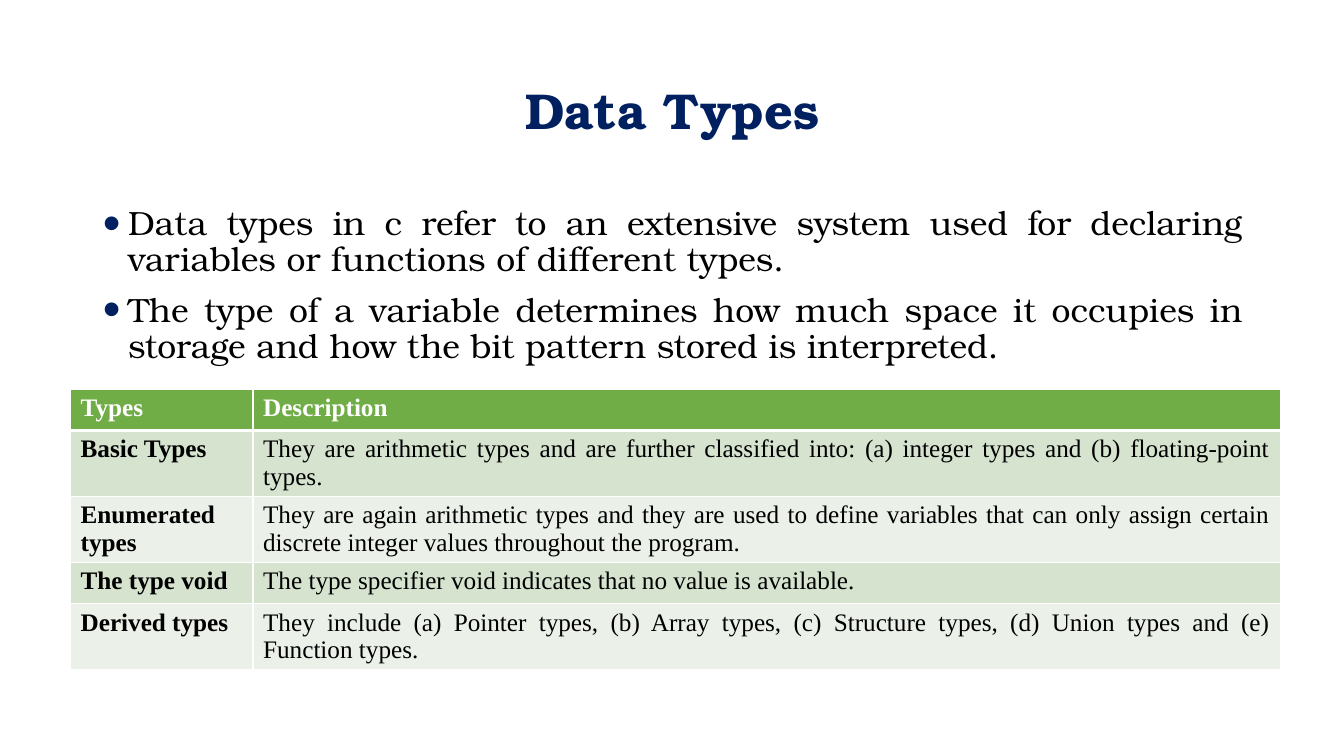
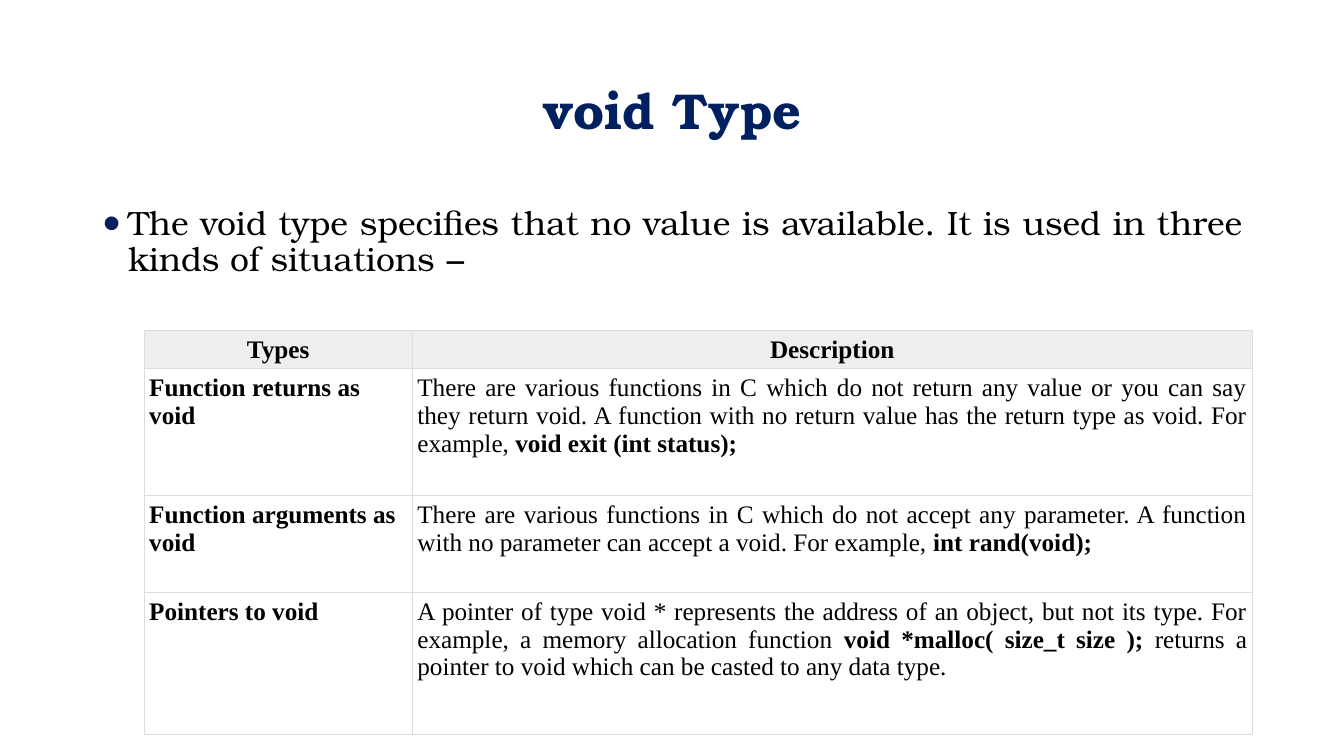
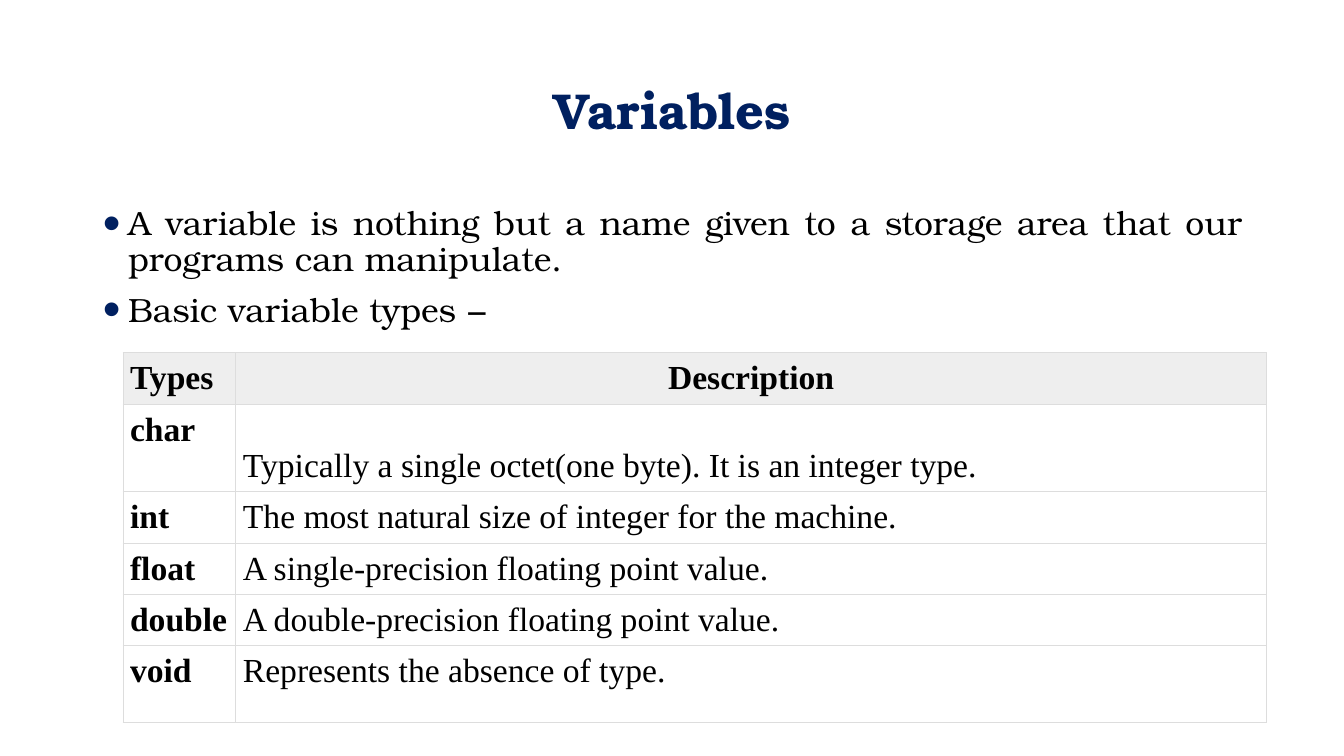
from lxml.etree import SubElement
from pptx import Presentation
from pptx.dml.color import RGBColor
from pptx.enum.text import MSO_ANCHOR as ANCHOR, MSO_AUTO_SIZE as AUTO_SIZE, PP_ALIGN as ALIGN
from pptx.oxml.ns import qn
from pptx.util import Pt

EMU_PER_PX = 9144
NAVY, BLACK, WHITE = "002060", "000000", "FFFFFF"
HEADING_FONT, TABLE_FONT = "TeX Gyre Bonum", "Times New Roman"
TITLE_BOX = (92, 40, 1150, 145)
BODY_BOX = (92, 200, 1150, 535)

GREEN_STYLE = {
    "header_fill": "70AD47", "header_color": WHITE, "row_fills": ("D5E3CF", "EBF1E9"),
    "border": (WHITE, 1), "header_rule": (WHITE, 3), "margins": (10, 5),
}
GREY_STYLE = {
    "header_fill": "EEEEEE", "header_color": BLACK, "row_fills": (None,),
    "border": ("DDDDDD", 0.75), "header_rule": ("DDDDDD", 0.75), "margins": (5, 5),
}

SLIDES = [
    {
        "title": "Data Types",
        "bullets": [
            "Data types in c refer to an extensive system used for declaring variables or functions of different types.",
            "The type of a variable determines how much space it occupies in storage and how the bit pattern stored is interpreted.",
        ],
        "table": {
            "origin": (70, 386), "columns": (181, 1019), "heights": (41, 65, 65, 41, 65),
            "size": 18, "style": GREEN_STYLE, "header_align": (ALIGN.LEFT, ALIGN.LEFT),
            "rows": [
                ("Types", "Description"),
                ("Basic Types", "They are arithmetic types and are further classified into: (a) integer types and (b) floating-point types."),
                ("Enumerated types", "They are again arithmetic types and they are used to define variables that can only assign certain discrete integer values throughout the program."),
                ("The type void", "The type specifier void indicates that no value is available."),
                ("Derived types", "They include (a) Pointer types, (b) Array types, (c) Structure types, (d) Union types and (e) Function types."),
            ],
        },
    },
    {
        "title": "void Type",
        "bullets": [
            "The void type specifies that no value is available. It is used in three kinds of situations −",
        ],
        "table": {
            "origin": (143, 328), "columns": (266, 833), "heights": (38, 126, 96, 141),
            "size": 18, "style": GREY_STYLE, "header_align": (ALIGN.CENTER, ALIGN.CENTER),
            "rows": [
                ("Types", "Description"),
                ("Function returns as void", "There are various functions in C which do not return any value or you can say they return void. A function with no return value has the return type as void. For example, |void exit (int status);"),
                ("Function arguments as void", "There are various functions in C which do not accept any parameter. A function with no parameter can accept a void. For example, |int rand(void);"),
                ("Pointers to void", "A pointer of type void * represents the address of an object, but not its type. For example, a memory allocation function |void *malloc( size_t size );| returns a pointer to void which can be casted to any data type."),
            ],
        },
    },
    {
        "title": "Variables",
        "bullets": [
            "A variable is nothing but a name given to a storage area that our programs can manipulate.",
            "Basic variable types −",
        ],
        "table": {
            "origin": (122, 350), "columns": (112, 1022), "heights": (51, 87, 51, 50, 51, 76),
            "size": 24, "style": {**GREY_STYLE, "margins": (7, 7)},
            "header_align": (ALIGN.LEFT, ALIGN.CENTER), "bottom_cell": (1, 1),
            "rows": [
                ("Types", "Description"),
                ("char", "Typically a single octet(one byte). It is an integer type."),
                ("int", "The most natural size of integer for the machine."),
                ("float", "A single-precision floating point value."),
                ("double", "A double-precision floating point value."),
                ("void", "Represents the absence of type."),
            ],
        },
    },
]


def px(length):
    return length * EMU_PER_PX


def rgb(value):
    return RGBColor.from_string(value)


def set_format(target, values):
    for name, value in values.items():
        setattr(target, name, value)


def write_runs(paragraph, text, font_name, size, color, bold=False):
    for index, part in enumerate(text.split("|")):
        run = paragraph.add_run()
        run.text = part
        set_format(run.font, {"name": font_name, "size": Pt(size), "bold": bold != bool(index % 2)})
        run.font.color.rgb = rgb(color)


def place(shape, box, anchor):
    set_format(shape, dict(zip(("left", "top", "width", "height"), map(px, box))))
    set_format(shape.text_frame, {
        "word_wrap": True, "auto_size": AUTO_SIZE.NONE, "vertical_anchor": anchor,
    })


def add_bullet(paragraph):
    properties = paragraph._p.get_or_add_pPr()
    properties.set("marL", str(px(25)))
    properties.set("indent", str(-px(25)))
    color = SubElement(properties, qn("a:buClr"))
    SubElement(color, qn("a:srgbClr"), val=NAVY)
    SubElement(properties, qn("a:buSzPct"), val="150000")
    SubElement(properties, qn("a:buFont"), typeface="Arial")
    SubElement(properties, qn("a:buChar"), char="•")


def fill_title(shape, box, text):
    place(shape, box, ANCHOR.MIDDLE)
    paragraph = shape.text_frame.paragraphs[0]
    set_format(paragraph, {"alignment": ALIGN.CENTER, "line_spacing": 0.9})
    write_runs(paragraph, text, HEADING_FONT, 36, NAVY, True)


def fill_bullets(shape, box, bullets):
    place(shape, box, ANCHOR.TOP)
    frame = shape.text_frame
    for index, text in enumerate(bullets):
        paragraph = frame.add_paragraph() if index else frame.paragraphs[0]
        add_bullet(paragraph)
        set_format(paragraph, {
            "alignment": ALIGN.JUSTIFY, "line_spacing": 0.9, "space_before": Pt(10 if index else 0),
        })
        write_runs(paragraph, text, HEADING_FONT, 24, BLACK)


def set_borders(cell, borders):
    properties = cell._tc.get_or_add_tcPr()
    for index, (side, (color, width)) in enumerate(borders.items()):
        line = SubElement(properties, qn("a:ln" + side), w=str(Pt(width)))
        fill = SubElement(line, qn("a:solidFill"))
        SubElement(fill, qn("a:srgbClr"), val=color)
        properties.insert(index, line)


def fill_cell(cell, text, row, column, layout):
    style = layout["style"]
    header = row == 0
    horizontal, vertical = map(px, style["margins"])
    bottom = layout.get("bottom_cell") == (row, column)
    set_format(cell, {
        "margin_left": horizontal, "margin_right": horizontal,
        "margin_top": vertical, "margin_bottom": vertical,
        "vertical_anchor": ANCHOR.BOTTOM if bottom else ANCHOR.TOP,
    })
    row_fills = style["row_fills"]
    fill_color = style["header_fill"] if header else row_fills[(row - 1) % len(row_fills)]
    if fill_color:
        cell.fill.solid()
        cell.fill.fore_color.rgb = rgb(fill_color)
    else:
        cell.fill.background()
    borders = dict.fromkeys("LRTB", style["border"])
    if row < 2:
        borders["B" if header else "T"] = style["header_rule"]
    set_borders(cell, borders)
    paragraph = cell.text_frame.paragraphs[0]
    aligns = layout["header_align"] if header else (ALIGN.LEFT, ALIGN.JUSTIFY)
    paragraph.alignment = aligns[column]
    color = style["header_color"] if header else BLACK
    write_runs(paragraph, text, TABLE_FONT, layout["size"], color, header or column == 0)


def add_type_table(slide, layout):
    rows, columns, heights = layout["rows"], layout["columns"], layout["heights"]
    box = (*layout["origin"], sum(columns), sum(heights))
    table = slide.shapes.add_table(len(rows), len(columns), *map(px, box)).table
    set_format(table, {"first_row": False, "horz_banding": False})
    for column, width in zip(table.columns, columns):
        column.width = px(width)
    for row, height in zip(table.rows, heights):
        row.height = px(height)
    for row, texts in enumerate(rows):
        for column, text in enumerate(texts):
            fill_cell(table.cell(row, column), text, row, column, layout)


def add_topic_slide(presentation, topic):
    slide = presentation.slides.add_slide(presentation.slide_layouts[1])
    fill_title(slide.shapes.title, TITLE_BOX, topic["title"])
    fill_bullets(slide.placeholders[1], BODY_BOX, topic["bullets"])
    add_type_table(slide, topic["table"])


def main():
    presentation = Presentation()
    set_format(presentation, {"slide_width": px(1333), "slide_height": px(750)})
    for topic in SLIDES:
        add_topic_slide(presentation, topic)
    presentation.save("out.pptx")


if __name__ == "__main__":
    main()
